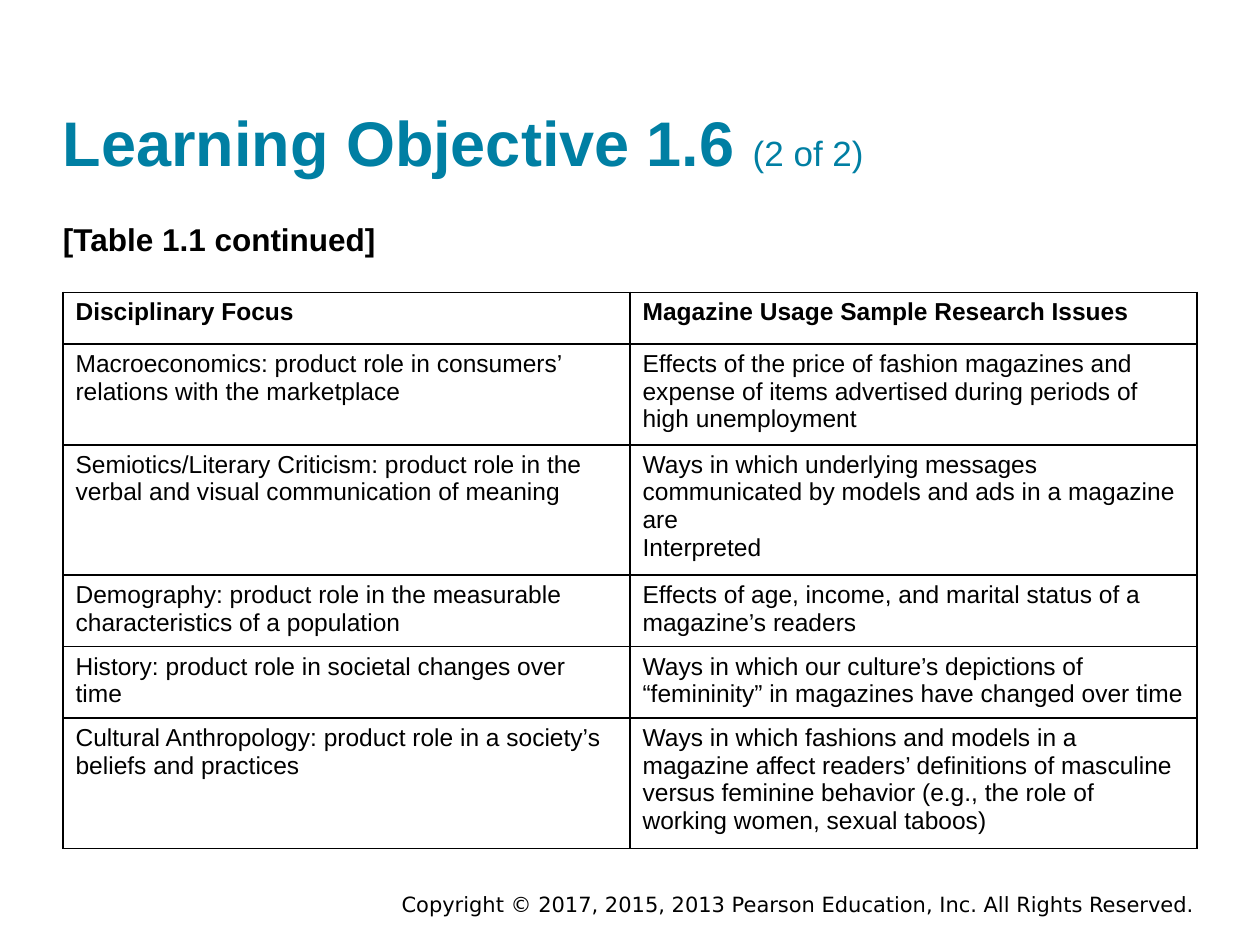
from dataclasses import dataclass

from lxml.etree import SubElement
from pptx import Presentation
from pptx.dml.color import RGBColor as RGB
from pptx.enum.text import MSO_ANCHOR as Anchor, PP_ALIGN as Align
from pptx.oxml.ns import qn
from pptx.util import Inches, Pt

# Content
TITLE, COUNTER = "Learning Objective 1.6 ", "(2 of 2)"
CAPTION = "[Table 1.1 continued]"
COPYRIGHT = "Copyright © 2017, 2015, 2013 Pearson Education, Inc. All Rights Reserved."
ROWS = [  # a line break starts a new paragraph
    ("Disciplinary Focus", "Magazine Usage Sample Research Issues"),
    ("Macroeconomics: product role in consumers’\nrelations with the marketplace",
     "Effects of the price of fashion magazines and expense of items advertised "
     "during periods of\nhigh unemployment"),
    ("Semiotics/Literary Criticism: product role in the\n"
     "verbal and visual communication of meaning",
     "Ways in which underlying messages communicated by models and ads "
     "in a magazine are\nInterpreted"),
    ("Demography: product role in the measurable\ncharacteristics of a population",
     "Effects of age, income, and marital status of a magazine’s readers"),
    ("History: product role in societal changes over time",
     "Ways in which our culture’s depictions of “femininity” in magazines "
     "have changed over time"),
    ("Cultural Anthropology: product role in a society’s\nbeliefs and practices",
     "Ways in which fashions and models in a magazine affect readers’ "
     "definitions of masculine\nversus feminine behavior (e.g., the role of "
     "working women, sexual taboos)"),
]


@dataclass(frozen=True)
class Theme:
    teal: RGB = RGB(0x00, 0x7F, 0xA3)
    black: RGB = RGB(0, 0, 0)
    face: str = "Arial"
    footer_face: str = "DejaVu Sans"
    title: int = 36
    counter: int = 20
    caption: int = 18
    cell: int = 14
    footer: int = 12
    border: int = 1


THEME = Theme()
LEFT, WIDTH = 0.5, 9
TABLE_TOP, ROW_HEIGHT = 2.32, 0.41


def set_font(font, size, color=THEME.black, bold=False, face=THEME.face):
    font.name, font.size, font.bold = face, Pt(size), bold
    font.color.rgb = color


def add_text(slide, left, top, width, height, inset=0):
    frame = slide.shapes.add_textbox(*map(Inches, (left, top, width, height))).text_frame
    frame.word_wrap = True
    frame.margin_left = frame.margin_right = Inches(inset)
    frame.margin_top = frame.margin_bottom = Inches(inset / 2)
    return frame


def add_borders(cell):
    props = cell._tc.get_or_add_tcPr()
    for side in ("lnL", "lnR", "lnT", "lnB"):
        line = SubElement(props, qn(f"a:{side}"), w=str(Pt(THEME.border)))
        fill = SubElement(line, qn("a:solidFill"))
        SubElement(fill, qn("a:srgbClr"), val=str(THEME.black))


def main():
    deck = Presentation()
    deck.slide_width, deck.slide_height = Inches(10), Inches(7.5)
    slide = deck.slides.add_slide(deck.slide_layouts[6])

    # Copyright line
    footer = add_text(slide, 1.75, 7.03, 7.83, 0.3, inset=0.1).paragraphs[0]
    footer.text, footer.alignment = COPYRIGHT, Align.RIGHT
    set_font(footer.font, THEME.footer, face=THEME.footer_face)

    # Title with its counter
    heading = add_text(slide, LEFT, 0.22, WIDTH, 1.2)
    heading.vertical_anchor = Anchor.BOTTOM
    for words, size, bold in ((TITLE, THEME.title, True), (COUNTER, THEME.counter, False)):
        run = heading.paragraphs[0].add_run()
        run.text = words
        set_font(run.font, size, THEME.teal, bold)

    # Table caption
    caption = add_text(slide, LEFT, 1.75, WIDTH, 0.33).paragraphs[0]
    caption.text = CAPTION
    set_font(caption.font, THEME.caption, bold=True)

    # Table: rows grow to fit their text
    table = slide.shapes.add_table(
        len(ROWS), len(ROWS[0]), Inches(LEFT), Inches(TABLE_TOP),
        Inches(WIDTH), Inches(ROW_HEIGHT * len(ROWS))).table
    for r, row in enumerate(ROWS):
        for c, words in enumerate(row):
            cell = table.cell(r, c)
            cell.text = words
            add_borders(cell)
            cell.fill.background()
            for paragraph in cell.text_frame.paragraphs:
                set_font(paragraph.font, THEME.cell, bold=r == 0)

    deck.save("out.pptx")


if __name__ == "__main__":
    main()
